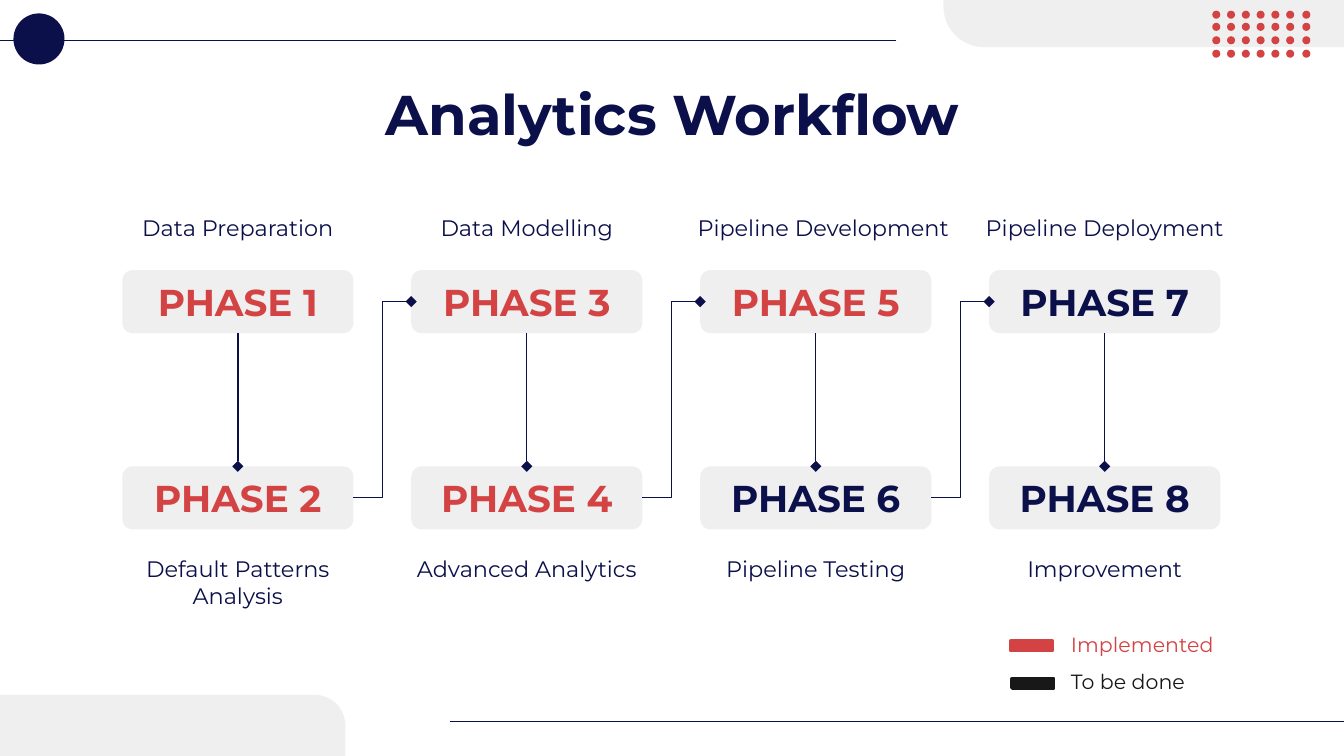
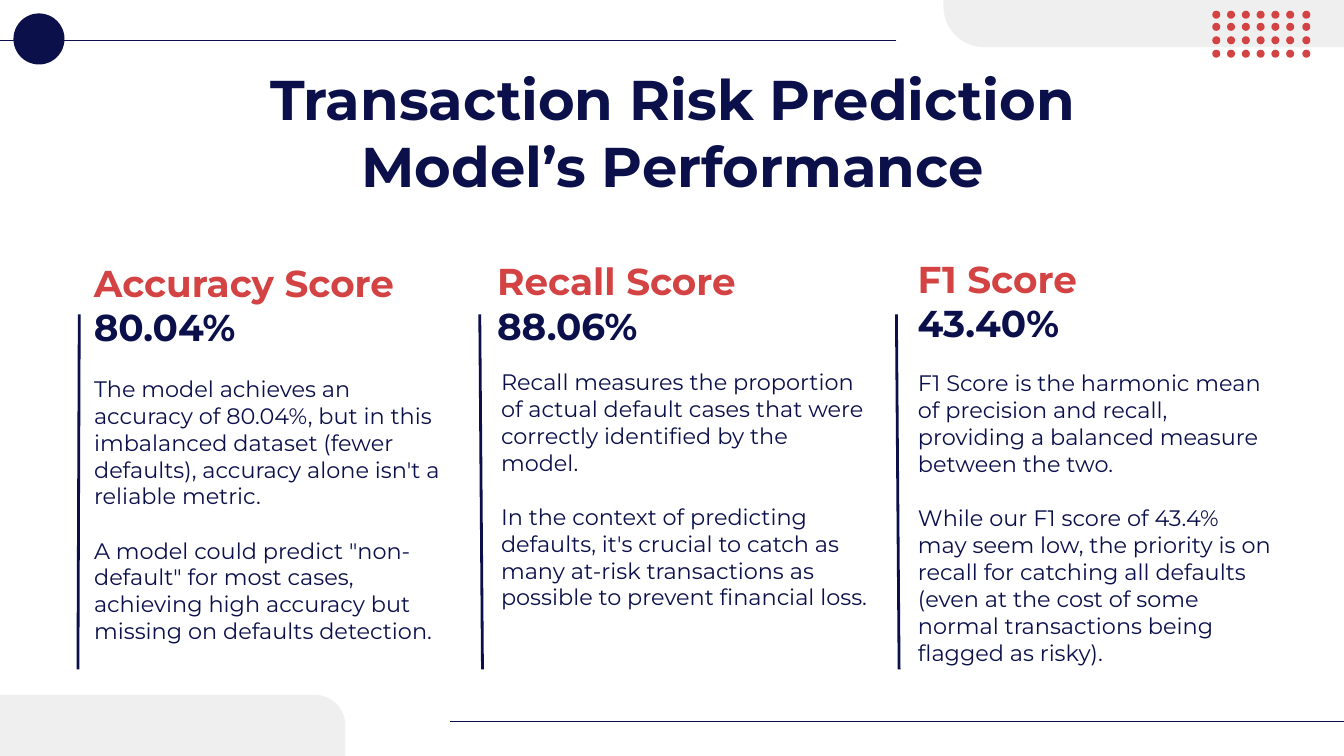
from lxml import etree
from pptx import Presentation
from pptx.dml.color import RGBColor
from pptx.enum.shapes import MSO_CONNECTOR, MSO_SHAPE
from pptx.enum.text import MSO_ANCHOR, MSO_AUTO_SIZE, PP_ALIGN
from pptx.oxml.ns import qn
from pptx.util import Pt

PX = 9144  # 100 px to the inch
FONT = "Montserrat"
COLORS = {"navy": "0B104B", "red": "D44343", "gray": "EFEFEF", "black": "181818"}

OVAL, RECT = MSO_SHAPE.OVAL, MSO_SHAPE.RECTANGLE
ROUNDED, ONE_ROUND = MSO_SHAPE.ROUNDED_RECTANGLE, MSO_SHAPE.ROUND_1_RECTANGLE
STRAIGHT, ELBOW = MSO_CONNECTOR.STRAIGHT, MSO_CONNECTOR.ELBOW
TOP, MIDDLE, BOTTOM = MSO_ANCHOR.TOP, MSO_ANCHOR.MIDDLE, MSO_ANCHOR.BOTTOM
LEFT, CENTER = PP_ALIGN.LEFT, PP_ALIGN.CENTER


def add_shape(slide, kind, box, color):
    sp = slide.shapes.add_shape(kind, *[v * PX for v in box])
    sp.shadow.inherit = False
    sp.fill.solid()
    sp.fill.fore_color.rgb = RGBColor.from_string(COLORS[color])
    sp.line.fill.background()
    return sp


def write(sp, lines, size, bold=False, align=LEFT, anchor=TOP, inset=10, gap=0, indent=0):
    """Fill a shape with (text, color) paragraphs, gap points apart."""
    tf = sp.text_frame
    tf.word_wrap = True
    tf.auto_size = MSO_AUTO_SIZE.NONE
    tf.vertical_anchor = anchor
    tf.margin_left = tf.margin_right = 10 * PX
    tf.margin_top = tf.margin_bottom = inset * PX
    for i, (text, color) in enumerate(lines):
        p = tf.add_paragraph() if i else tf.paragraphs[0]
        p.alignment = align
        p.space_before = Pt(gap if i else 0)
        pPr = p._p.get_or_add_pPr()
        pPr.set("marL", str(indent * PX))
        pPr.set("indent", "0")
        etree.SubElement(pPr, qn("a:buNone"))
        r = p.add_run()
        r.text = text
        r.font.name = FONT
        r.font.size = Pt(size)
        r.font.bold = bold
        r.font.color.rgb = RGBColor.from_string(COLORS[color])


prs = Presentation()
prs.slide_width = 1000 * PX
prs.slide_height = prs.slide_width * 9 // 16
workflow = prs.slides.add_slide(prs.slide_layouts[5])
scores = prs.slides.add_slide(prs.slide_layouts[3])
lines = []  # (connector, width in points, has diamond end)

# Shared decoration and titles
titles = [
    (workflow, 49, ["Analytics Workflow"]),
    (scores, 38, ["Transaction Risk Prediction", "Model’s Performance"]),
]
for slide, top, title in titles:
    for x1, x2, y in [(1001, 335, 537), (667, 0, 30)]:
        cx = slide.shapes.add_connector(STRAIGHT, x1 * PX, y * PX, x2 * PX, y * PX)
        lines.append((cx, 0.75, False))
    add_shape(slide, OVAL, (10, 10, 38, 38), "navy")
    for box, angle in [((702, -25, 306, 60), 180), ((0, 517, 257, 46), 0)]:
        sp = add_shape(slide, ONE_ROUND, box, "gray")
        sp.adjustments[0] = 0.5
        sp.rotation = angle
    for row in range(4):
        for col in range(7):
            add_shape(slide, OVAL, (902 + col * 67 // 6, 8 + row * 29 // 3, 6, 6), "red")
    sp = slide.shapes.title
    sp.left, sp.top, sp.width, sp.height = 79 * PX, top * PX, 843 * PX, 63 * PX
    write(sp, [(text, "navy") for text in title], 30, bold=True, align=CENTER)

# Workflow: two phases in each column, with captions above and below
columns = [
    ("Data Preparation", "Default Patterns Analysis"),
    ("Data Modelling", "Advanced Analytics"),
    ("Pipeline Development", "Pipeline Testing"),
    ("Pipeline Deployment", "Improvement"),
]
IMPLEMENTED = {1, 2, 3, 4, 5}
PITCH = 215
phases = []
for col, captions in enumerate(columns):
    for row, caption in enumerate(captions):
        width = 209 if caption == "Pipeline Development" else 198
        sp = workflow.shapes.add_textbox(
            (78 + col * PITCH) * PX, (154, 403)[row] * PX, width * PX, 35 * PX)
        write(sp, [(caption, "navy")], 12, align=CENTER, anchor=(BOTTOM, TOP)[row])

        number = len(phases) + 1
        sp = add_shape(workflow, ROUNDED, (91 + col * PITCH, (201, 347)[row], 172, 47), "gray")
        color = "red" if number in IMPLEMENTED else "navy"
        write(sp, [(f"PHASE {number}", color)], 20, bold=True, align=CENTER, anchor=MIDDLE)
        phases.append(sp)

# Arrows: down within a column, then across to the next one
for i, (start, end) in enumerate(zip(phases, phases[1:])):
    kind, site1, site2 = (ELBOW, 3, 1) if i % 2 else (STRAIGHT, 2, 0)
    cx = workflow.shapes.add_connector(kind, 0, 0, 0, 0)
    cx.begin_connect(start, site1)
    cx.end_connect(end, site2)
    lines.append((cx, 0.75, True))

# Legend
sp = workflow.shapes.add_textbox(787 * PX, 465 * PX, 138 * PX, 59 * PX)
write(sp, [("Implemented", "red"), ("To be done", "black")], 11, inset=5, gap=7)
for x, y, color in [(752, 477, "red"), (753, 505, "black")]:
    sp = add_shape(workflow, RECT, (x, y, 31, 7), color)
    sp.line.color.rgb = RGBColor.from_string(COLORS[color])
    sp.line.width = Pt(2)

# Scores: heading box, body box, rule (bottom x, top x) and body margins
bodies = list(scores.placeholders)[1:]
metrics = [
    ("Accuracy Score", "80.04%", (60, 235, 270, 35), bodies[0], (43, 269, 303, 229),
     (58, 59), 10, 17, [
        "The model achieves an accuracy of 80.04%, but in this imbalanced dataset "
        "(fewer defaults), accuracy alone isn't a reliable metric.",
        "A model could predict \"non-default\" for most cases, achieving high accuracy "
        "but missing on defaults detection."]),
    ("Recall Score", "88.06%", (360, 183, 279, 86), None, (363, 269, 293, 212),
     (359, 357), 5, 0, [
        "Recall measures the proportion of actual default cases that were correctly "
        "identified by the model.",
        "In the context of predicting defaults, it's crucial to catch as many at-risk "
        "transactions as possible to prevent financial loss."]),
    ("F1 Score", "43.40%", (673, 181, 242, 86), bodies[1], (673, 265, 284, 121),
     (669, 667), 10, 0, [
        "F1 Score is the harmonic mean of precision and recall, providing a balanced "
        "measure between the two.",
        "While our F1 score of 43.4% may seem low, the priority is on recall for catching "
        "all defaults (even at the cost of some normal transactions being flagged as "
        "risky)."]),
]
for name, value, head_box, body, body_box, rule, inset, indent, texts in metrics:
    sp = scores.shapes.add_textbox(*[v * PX for v in head_box])
    write(sp, [(name, "red"), (value, "navy")], 20, bold=True, anchor=BOTTOM)

    sp = body or scores.shapes.add_textbox(0, 0, 0, 0)
    sp.left, sp.top, sp.width, sp.height = [v * PX for v in body_box]
    write(sp, [(text, "navy") for text in texts], 12, inset=inset, gap=14.6, indent=indent)

    cx = scores.shapes.add_connector(STRAIGHT, rule[0] * PX, 498 * PX, rule[1] * PX, 234 * PX)
    lines.append((cx, 1.5, False))

# Line style
for cx, width, diamond in lines:
    cx.line.color.rgb = RGBColor.from_string(COLORS["navy"])
    cx.line.width = Pt(width)
    if diamond:
        etree.SubElement(cx.line._get_or_add_ln(), qn("a:tailEnd"), type="diamond")
    etree.SubElement(cx._element.spPr, qn("a:effectLst"))

prs.save("out.pptx")
